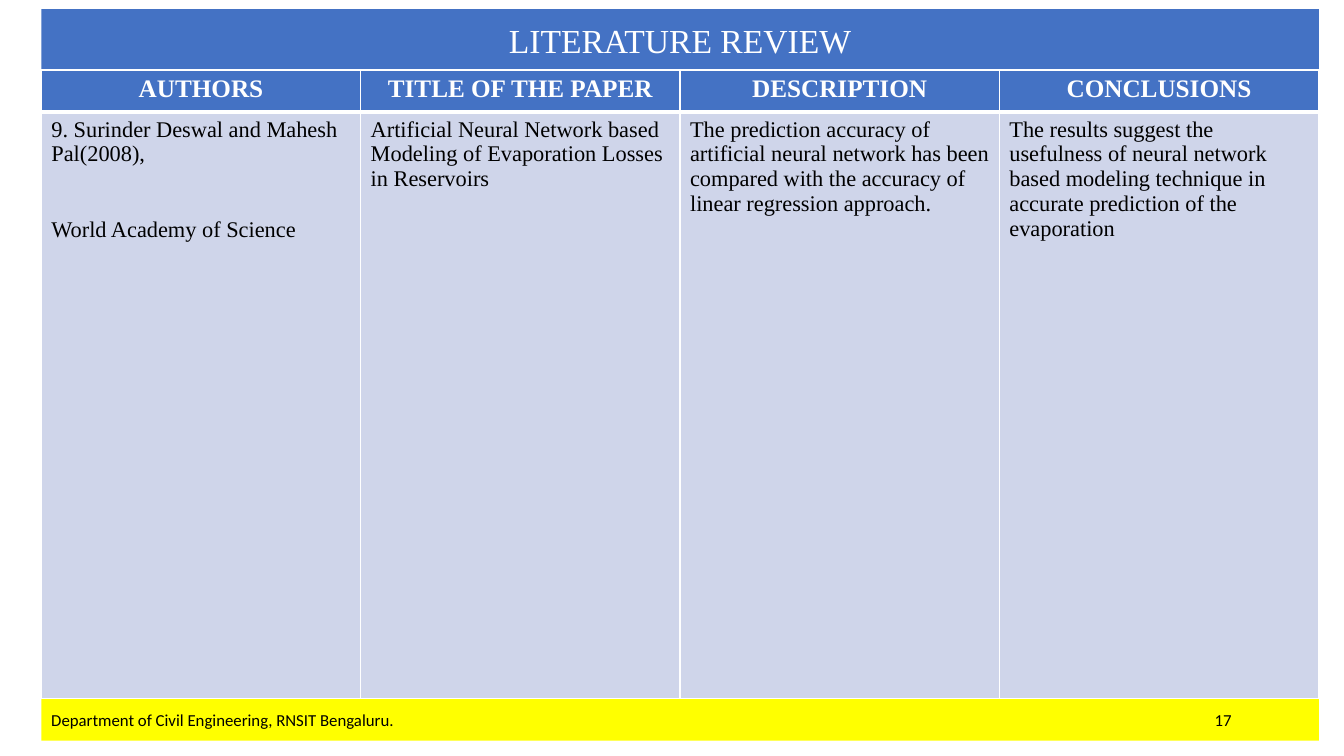
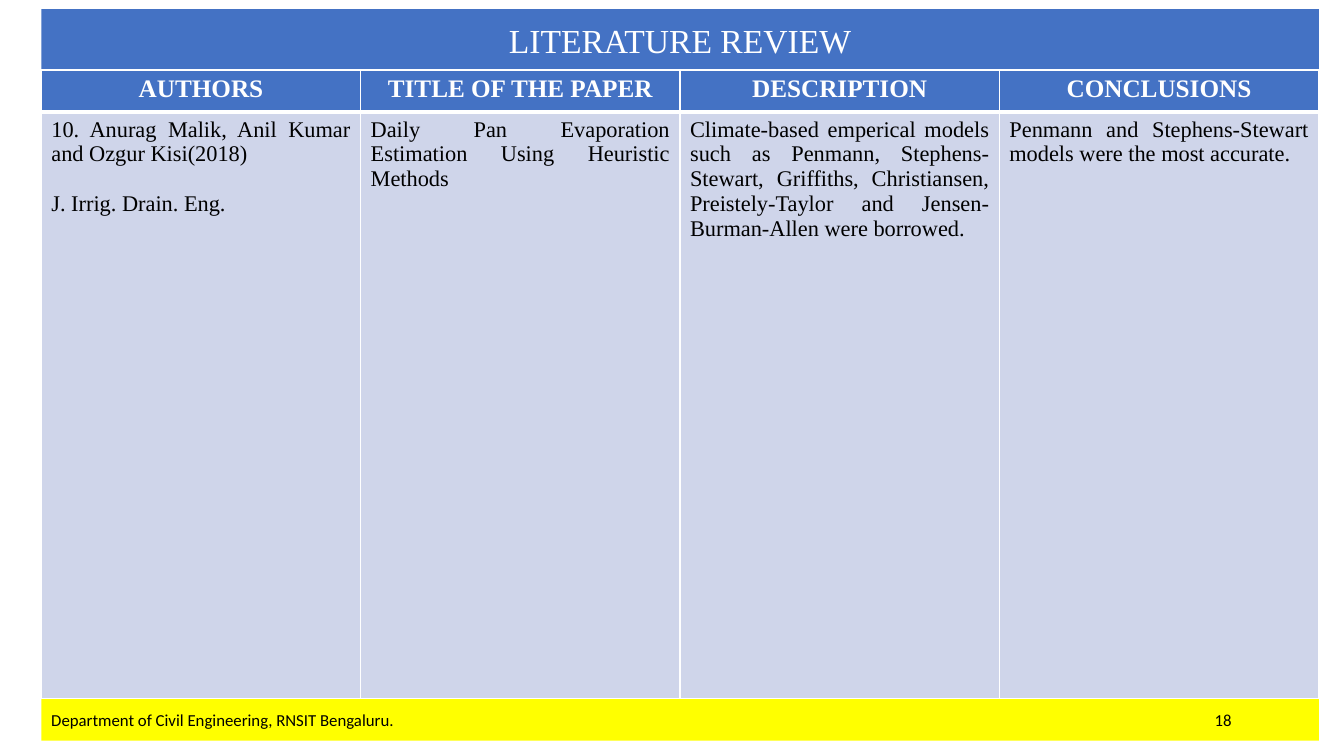
from dataclasses import dataclass

from pptx import Presentation
from pptx.dml.color import RGBColor
from pptx.enum import shapes, text
from pptx.oxml.ns import qn
from pptx.util import Pt
from lxml import etree


@dataclass(frozen=True)
class Theme:
    blue: str = "4472C4"
    pale: str = "CFD5EA"
    yellow: str = "FFFF00"
    white: str = "FFFFFF"
    black: str = "000000"
    serif: str = "Times New Roman"
    sans: str = "Calibri"
    title: int = 24
    header: int = 18
    body: int = 16
    footer: int = 12
    thin: int = 1
    thick: int = 3


T = Theme()
ALIGN = text.PP_ALIGN

LEFT, WIDTH = 29.5, 912.5
TITLE_TOP, TITLE_H = 6.5, 43.5
TABLE_TOP, HEADER_H, BODY_H = 50, 30, 419
FOOTER_TOP, FOOTER_H = TABLE_TOP + HEADER_H + BODY_H, 30
PAGE_TAB = 831
BODY_LINE = 18

HEADERS = ["AUTHORS", "TITLE OF THE PAPER", "DESCRIPTION", "CONCLUSIONS"]

# Each paper: page number, alignment, blank lines above the source, cells as paragraphs.
PAPERS = [
    (17, ALIGN.LEFT, 2, [
        ["9. Surinder Deswal and Mahesh Pal(2008),", "World Academy of Science"],
        ["Artificial Neural Network based Modeling of Evaporation Losses in Reservoirs"],
        ["The prediction accuracy of artificial neural network has been compared "
         "with the accuracy of linear regression approach."],
        ["The results suggest the usefulness of neural network based modeling "
         "technique in accurate prediction of the evaporation"],
    ]),
    (18, ALIGN.JUSTIFY, 1, [
        ["10. Anurag Malik, Anil Kumar and Ozgur Kisi(2018)", "J. Irrig. Drain. Eng."],
        ["Daily Pan Evaporation Estimation Using Heuristic Methods"],
        ["Climate-based emperical models such as Penmann, Stephens-Stewart, Griffiths, "
         "Christiansen, Preistely-Taylor and Jensen-Burman-Allen were borrowed."],
        ["Penmann and Stephens-Stewart models were the most accurate."],
    ]),
]


def add_run(p, words, size, font, color, bold=False):
    r = p.add_run()
    r.text = words
    r.font.size, r.font.name, r.font.bold = Pt(size), font, bold
    r.font.color.rgb = RGBColor.from_string(color)


def add_band(s, top, height, fill, align):
    """Draw a full-width band and return its paragraph."""
    sp = s.shapes.add_shape(shapes.MSO_SHAPE.RECTANGLE,
                            Pt(LEFT), Pt(top), Pt(WIDTH), Pt(height))
    sp.shadow.inherit = False
    sp.fill.solid()
    sp.fill.fore_color.rgb = RGBColor.from_string(fill)
    sp.line.fill.background()
    tf = sp.text_frame
    tf.word_wrap = True
    tf.vertical_anchor = text.MSO_ANCHOR.MIDDLE
    p = tf.paragraphs[0]
    p.alignment = align
    return p


def add_title(s):
    p = add_band(s, TITLE_TOP, TITLE_H, T.blue, ALIGN.CENTER)
    add_run(p, "LITERATURE REVIEW", T.title, T.serif, T.white)


def add_footer(s, page):
    p = add_band(s, FOOTER_TOP, FOOTER_H, T.yellow, ALIGN.LEFT)
    tabs = etree.SubElement(p._p.get_or_add_pPr(), qn("a:tabLst"))
    etree.SubElement(tabs, qn("a:tab"), pos=str(Pt(PAGE_TAB)), algn="l")
    for words in ("Department of Civil Engineering, RNSIT Bengaluru.", f"\t{page}"):
        add_run(p, words, T.footer, T.sans, T.black)


def style_cell(cell, fill, top, bottom):
    """Set white borders, then the fill, as the schema orders them."""
    tcPr = cell._tc.get_or_add_tcPr()
    sides = {"lnL": T.thin, "lnR": T.thin, "lnT": top, "lnB": bottom}
    for side, width in sides.items():
        ln = etree.SubElement(tcPr, qn(f"a:{side}"), w=str(Pt(width)))
        solid = etree.SubElement(ln, qn("a:solidFill"))
        etree.SubElement(solid, qn("a:srgbClr"), val=T.white)
    cell.fill.solid()
    cell.fill.fore_color.rgb = RGBColor.from_string(fill)


def fill_cell(cell, paragraphs, align, gap, **run_style):
    tf = cell.text_frame
    for i, words in enumerate(paragraphs):
        p = tf.add_paragraph() if i else tf.paragraphs[0]
        p.alignment = align
        p.space_before = Pt(gap if i else 0)
        add_run(p, words, font=T.serif, **run_style)


def add_review_table(s, align, blank_lines, cells):
    table = s.shapes.add_table(2, len(HEADERS), Pt(LEFT), Pt(TABLE_TOP),
                               Pt(WIDTH), Pt(HEADER_H + BODY_H)).table
    for row, height in zip(table.rows, (HEADER_H, BODY_H)):
        row.height = Pt(height)
    for i, (header, paragraphs) in enumerate(zip(HEADERS, cells)):
        table.columns[i].width = Pt(WIDTH / len(HEADERS))
        head, body = table.cell(0, i), table.cell(1, i)
        style_cell(head, T.blue, T.thin, T.thick)
        fill_cell(head, [header], ALIGN.CENTER, 0,
                  size=T.header, color=T.white, bold=True)
        style_cell(body, T.pale, T.thick, T.thin)
        fill_cell(body, paragraphs, align, blank_lines * BODY_LINE,
                  size=T.body, color=T.black)


def main():
    prs = Presentation()
    prs.slide_width, prs.slide_height = Pt(960), Pt(540)
    for page, align, blank_lines, cells in PAPERS:
        s = prs.slides.add_slide(prs.slide_layouts[6])
        add_title(s)
        add_footer(s, page)
        add_review_table(s, align, blank_lines, cells)
    prs.save("out.pptx")


if __name__ == "__main__":
    main()
